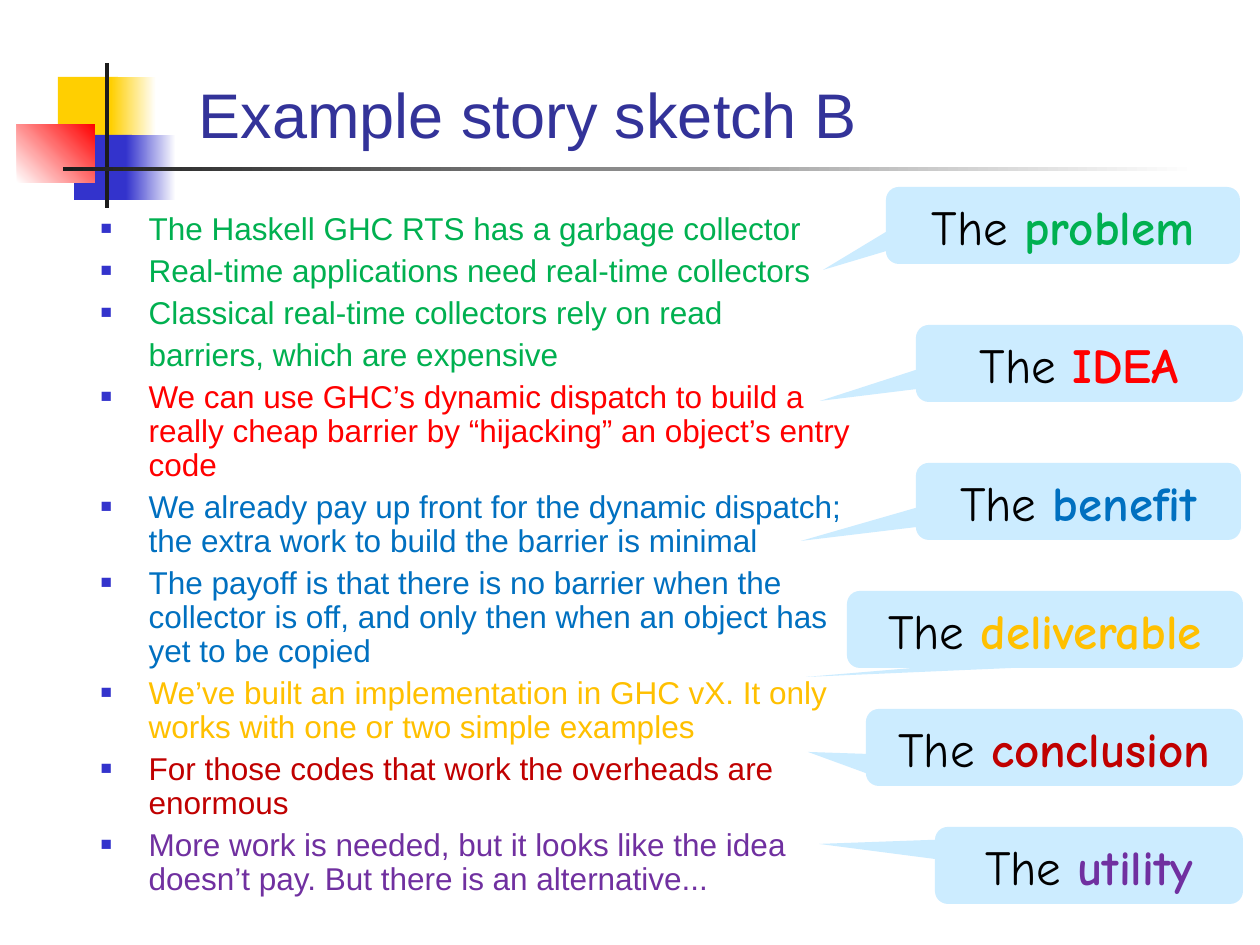
import lxml.etree
import pptx
import pptx.dml.color
import pptx.enum.shapes
import pptx.enum.text
import pptx.oxml.ns
import pptx.util

EMU_PER_PX = 914400 / 126
COLORS = {
    "yellow": "FFCF01", "blue": "3333CC", "bright": "FF0000", "ink": "1C1C1C",
    "white": "FFFFFF", "black": "000000", "title": "333399", "callout": "CCECFF",
    "problem": "00B050", "IDEA": "FF0000", "benefit": "0070C0",
    "deliverable": "FFC000", "conclusion": "C00000", "utility": "7030A0",
}
SHAPES = pptx.enum.shapes.MSO_SHAPE
ALIGN = pptx.enum.text.PP_ALIGN
ANCHOR = pptx.enum.text.MSO_ANCHOR
AUTO_SIZE = pptx.enum.text.MSO_AUTO_SIZE


def px(length):
    return pptx.util.Emu(round(length * EMU_PER_PX))


def color(name):
    return pptx.dml.color.RGBColor.from_string(COLORS[name])


def apply(target, values):
    for name, value in values.items():
        setattr(target, name, value)


class SlideBuilder:
    title_font = {"name": "Arial", "size": pptx.util.Pt(36)}
    body_font = {"name": "Arial", "size": pptx.util.Pt(18)}
    callout_font = {"name": "Comic Neue", "size": pptx.util.Pt(28)}
    body_spacing = {"line_spacing": 0.9, "space_before": pptx.util.Pt(4.5)}
    callout_spacing = {"alignment": ALIGN.CENTER, "space_before": pptx.util.Pt(14)}

    def __init__(self, slide):
        self.slide = slide

    def place(self, shape, bounds):
        apply(shape, dict(zip(("left", "top", "width", "height"), map(px, bounds))))

    def span(self, para, text, font, color_name, bold=False):
        span = para.add_run()
        span.text = text
        apply(span.font, {**font, "bold": bold})
        span.font.color.rgb = color(color_name)

    def shape(self, kind, bounds):
        shape = self.slide.shapes.add_shape(kind, *map(px, bounds))
        shape.shadow.inherit = False
        shape.line.fill.background()
        return shape

    def block(self, bounds, start, end=None, angle=0):
        fill = self.shape(SHAPES.RECTANGLE, bounds).fill
        if end is None:
            fill.solid()
            fill.fore_color.rgb = color(start)
            return
        fill.gradient()
        fill.gradient_angle = angle
        for stop, name in zip(fill.gradient_stops, (start, end)):
            stop.color.rgb = color(name)

    def callout(self, word, bounds, tip):
        box = self.shape(SHAPES.ROUNDED_RECTANGULAR_CALLOUT, bounds)
        box.fill.solid()
        box.fill.fore_color.rgb = color("callout")
        left, top, width, height = bounds
        box.adjustments[0] = (tip[0] - left) / width - 0.5
        box.adjustments[1] = (tip[1] - top) / height - 0.5
        apply(box.text_frame, {"word_wrap": True, "vertical_anchor": ANCHOR.TOP,
                               "auto_size": AUTO_SIZE.SHAPE_TO_FIT_TEXT})
        para = box.text_frame.paragraphs[0]
        apply(para, self.callout_spacing)
        self.span(para, "The ", self.callout_font, "black")
        self.span(para, word, self.callout_font, word, bold=True)

    def title(self, text, bounds):
        box = self.slide.shapes.title
        self.place(box, bounds)
        apply(box.text_frame, {"vertical_anchor": ANCHOR.BOTTOM,
                               "auto_size": AUTO_SIZE.NONE})
        para = box.text_frame.paragraphs[0]
        para.alignment = ALIGN.LEFT
        self.span(para, text, self.title_font, "title")

    def bullet(self, para, bulleted):
        properties = para._p.get_or_add_pPr()
        properties.set("marL", str(px(48)))
        properties.set("indent", str(px(-48) if bulleted else 0))

        def add(parent, tag, **values):
            return lxml.etree.SubElement(parent, pptx.oxml.ns.qn(tag), values)

        if not bulleted:
            add(properties, "a:buNone")
            return
        add(add(properties, "a:buClr"), "a:srgbClr", val=COLORS["blue"])
        add(properties, "a:buSzPct", val="60000")
        add(properties, "a:buFont", typeface="Arial")
        add(properties, "a:buChar", char="■")

    def body(self, items, bounds):
        box = self.slide.placeholders[1]
        self.place(box, bounds)
        frame = box.text_frame
        frame.auto_size = AUTO_SIZE.NONE
        for index, (topic, text, bulleted) in enumerate(items):
            para = frame.add_paragraph() if index else frame.paragraphs[0]
            apply(para, self.body_spacing)
            self.bullet(para, bulleted)
            self.span(para, text, self.body_font, topic)


def main():
    deck = pptx.Presentation()
    apply(deck, {"slide_width": px(1260), "slide_height": px(945)})
    page = SlideBuilder(deck.slides.add_slide(deck.slide_layouts[1]))

    page.block((58, 77, 60, 65), "yellow")
    page.block((111, 77, 45, 65), "yellow", "white")
    page.block((74, 135, 58, 65), "blue")
    page.block((126, 135, 50, 65), "blue", "white")
    page.block((17, 124, 78, 59), "white", "bright", angle=45)
    page.block((105, 63, 4, 145), "ink")
    page.block((63, 167, 1134, 4), "ink", "white")

    for word, bounds, tip in (
        ("problem", (886, 187, 354, 77), (823, 270)),
        ("IDEA", (916, 325, 327, 77), (820, 401)),
        ("benefit", (916, 463, 325, 77), (801, 541)),
        ("deliverable", (847, 591, 396, 77), (806, 677)),
        ("conclusion", (866, 709, 377, 77), (808, 752)),
        ("utility", (935, 827, 308, 77), (819, 844)),
    ):
        page.callout(word, bounds, tip)

    page.title("Example story sketch B", (186, 0, 1074, 157))
    page.body((
        ("problem", "The Haskell GHC RTS has a garbage collector", True),
        ("problem", "Real-time applications need real-time collectors", True),
        ("problem", "Classical real-time collectors rely on read", True),
        ("problem", "barriers, which are expensive", False),
        ("IDEA", "We can use GHC’s dynamic dispatch to build a really cheap "
                 "barrier by “hijacking” an object’s entry code", True),
        ("benefit", "We already pay up front for the dynamic dispatch; the extra "
                    "work to build the barrier is minimal", True),
        ("benefit", "The payoff is that there is no barrier when the collector is "
                    "off, and only then when an object has yet to be copied", True),
        ("deliverable", "We’ve built an implementation in GHC vX. It only works "
                        "with one or two simple examples", True),
        ("conclusion", "For those codes that work the overheads are enormous", True),
        ("utility", "More work is needed, but it looks like the idea doesn’t pay. "
                    "But there is an alternative...", True),
    ), (88, 207, 798, 718))
    deck.save("out.pptx")


if __name__ == "__main__":
    main()
